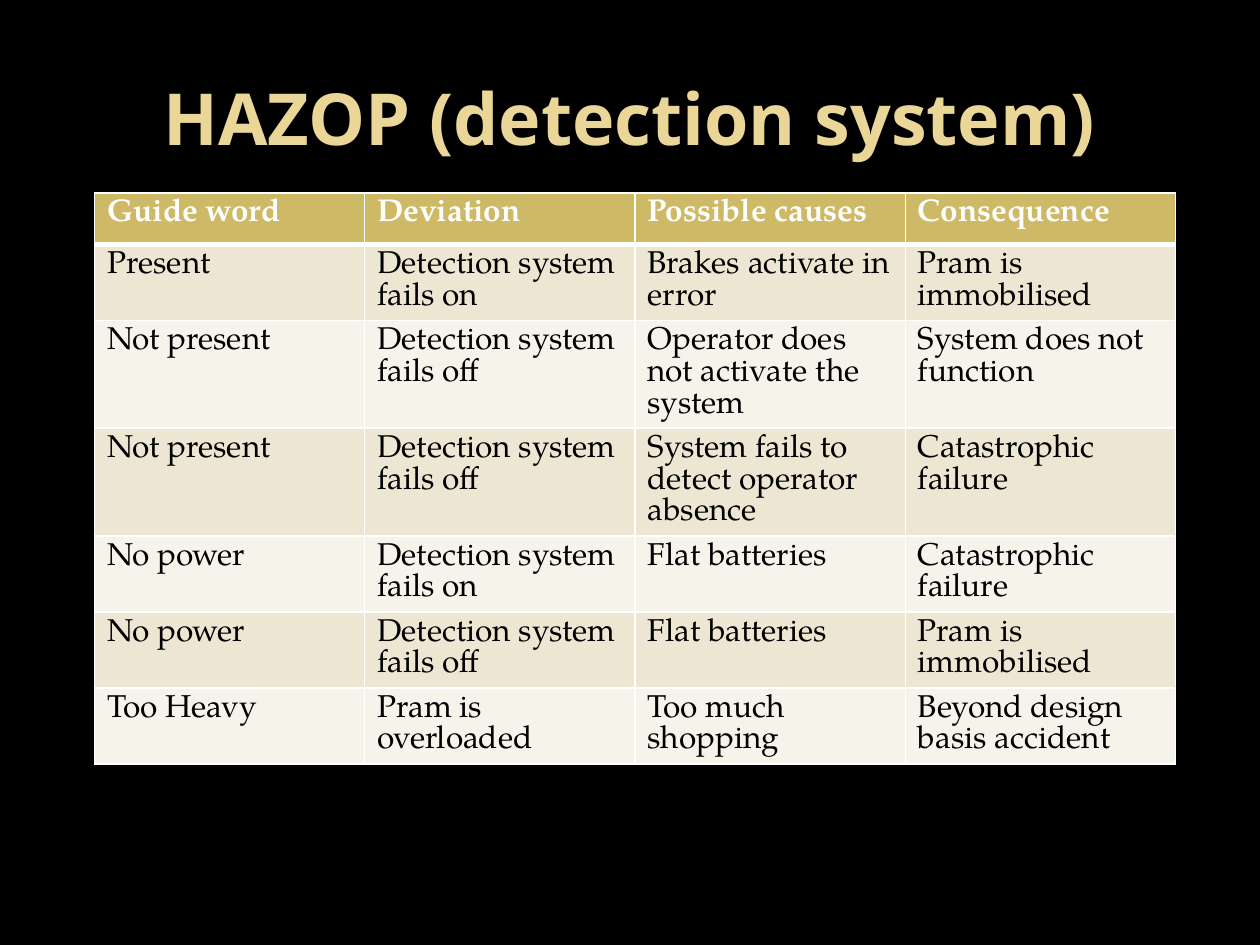
"""Build the HAZOP slide for the detection system."""
from lxml import etree
from pptx import Presentation
from pptx.dml.color import RGBColor
from pptx.enum import text
from pptx.oxml.ns import qn
from pptx.util import Inches, Pt

BLACK = RGBColor(0x00, 0x00, 0x00)
WHITE = RGBColor(0xFF, 0xFF, 0xFF)
PALE_GOLD = RGBColor(0xEA, 0xD6, 0x96)
GOLD = RGBColor(0xCE, 0xB9, 0x66)
SAND = RGBColor(0xED, 0xE6, 0xD3)
IVORY = RGBColor(0xF6, 0xF3, 0xEA)

HAZARDS = [
    ("Guide word", "Deviation", "Possible causes", "Consequence"),
    ("Present", "Detection system fails on", "Brakes activate in error", "Pram is immobilised"),
    ("Not present", "Detection system fails off", "Operator does not activate the system",
     "System does not function"),
    ("Not present", "Detection system fails off", "System fails to detect operator absence",
     "Catastrophic failure"),
    ("No power", "Detection system fails on", "Flat batteries", "Catastrophic failure"),
    ("No power", "Detection system fails off", "Flat batteries", "Pram is immobilised"),
    ("Too Heavy", "Pram is overloaded", "Too much shopping", "Beyond design basis accident"),
]


def format_font(font, color, **values):
    font.color.rgb = color
    for name, value in values.items():
        setattr(font, name, value)


def add_borders(cell, widths):
    properties = cell._tc.get_or_add_tcPr()
    for side, width in widths.items():
        line = etree.SubElement(properties, qn(f"a:ln{side}"), w=str(Pt(width)))
        fill = etree.SubElement(line, qn("a:solidFill"))
        etree.SubElement(fill, qn("a:srgbClr"), val=str(WHITE))


prs = Presentation()
prs.slide_width, prs.slide_height = Inches(10), Inches(7.5)
slide = prs.slides.add_slide(prs.slide_layouts[5])
slide.background.fill.solid()
slide.background.fill.fore_color.rgb = BLACK

heading = slide.shapes.title
heading.left, heading.top = Inches(0.5), Inches(0.3)
heading.width, heading.height = Inches(9), Inches(1.25)
heading.text_frame.text = "HAZOP (detection system)"
heading.text_frame.vertical_anchor = text.MSO_ANCHOR.MIDDLE
heading_line = heading.text_frame.paragraphs[0]
heading_line.alignment = text.PP_ALIGN.CENTER
format_font(heading_line.runs[0].font, PALE_GOLD, name="Open Sans", size=Pt(41), bold=True)

hazop = slide.shapes.add_table(
    len(HAZARDS), len(HAZARDS[0]), Inches(0.75), Inches(1.53),
    Inches(8.58), Inches(0.41 * len(HAZARDS))).table
for row, entries in enumerate(HAZARDS):
    is_header = row == 0
    band = GOLD if is_header else (IVORY, SAND)[row % 2]
    for column, entry in enumerate(entries):
        cell = hazop.cell(row, column)
        cell.text = entry
        format_font(cell.text_frame.paragraphs[0].runs[0].font, WHITE if is_header else BLACK,
                    name="TeX Gyre Pagella", size=Pt(18), bold=is_header)
        add_borders(cell, {"L": 1, "R": 1, "T": 3 if row == 1 else 1, "B": 3 if is_header else 1})
        cell.fill.solid()
        cell.fill.fore_color.rgb = band

prs.save("out.pptx")
